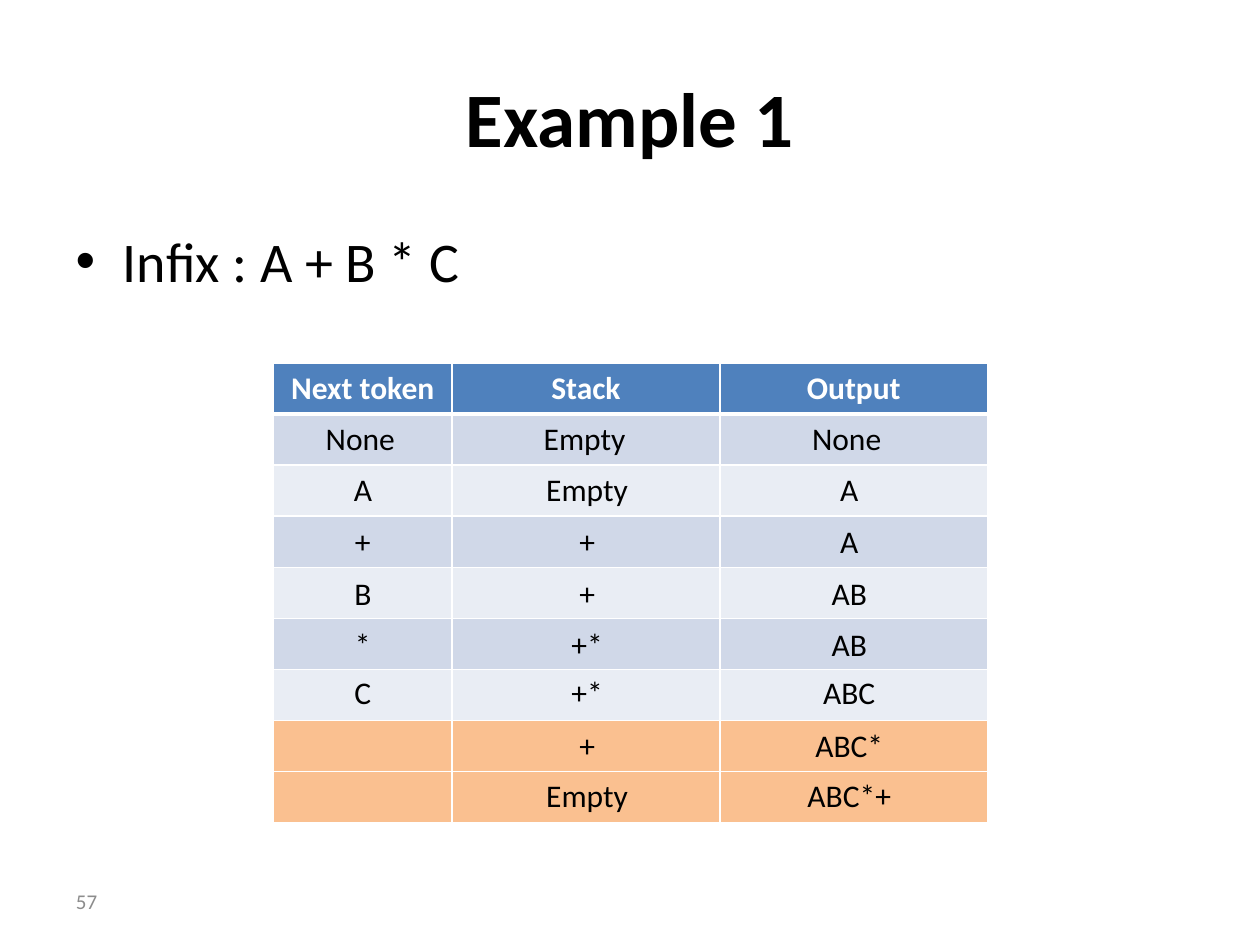
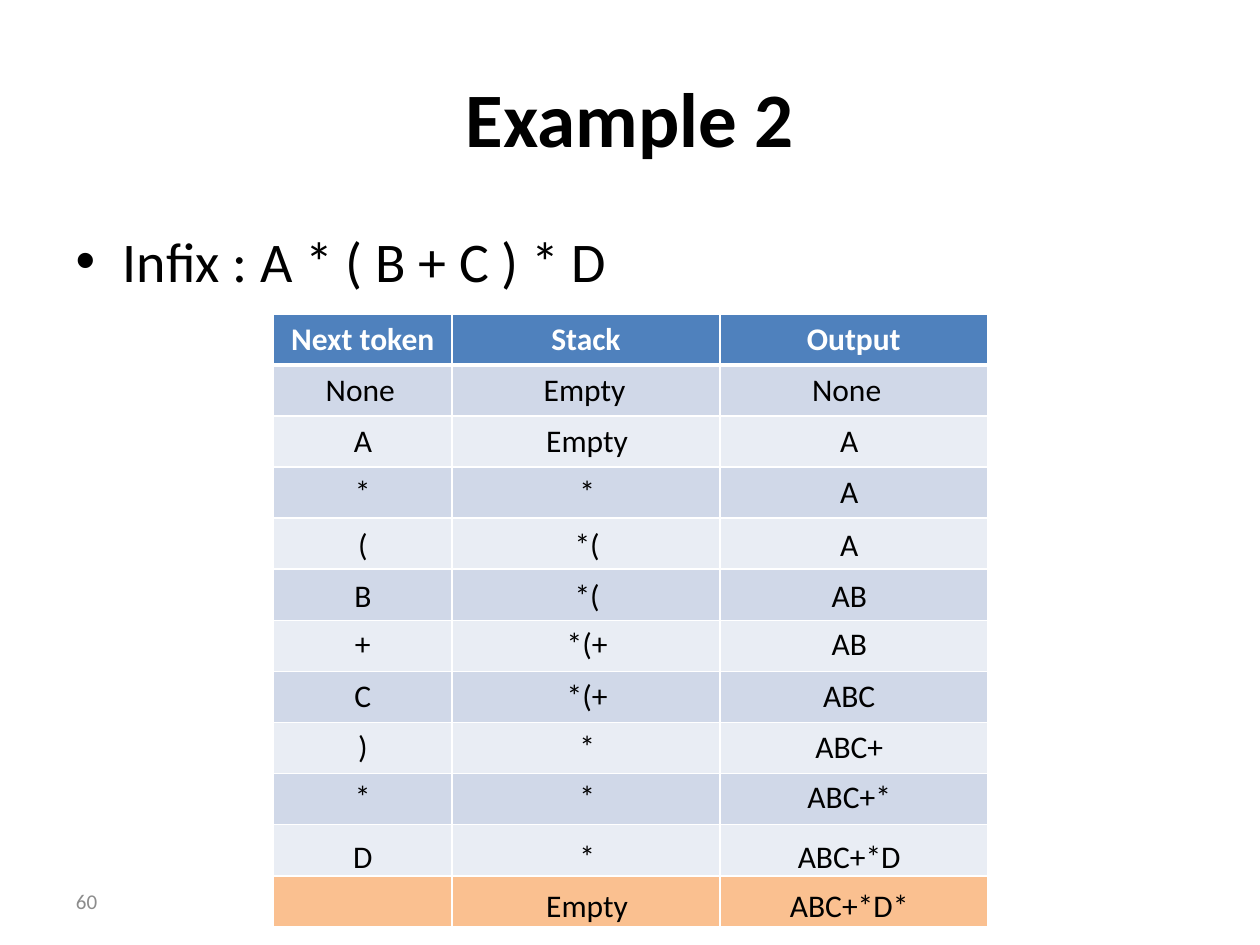
from pptx import Presentation
from pptx.dml.color import RGBColor
from pptx.enum.text import MSO_ANCHOR as Anchor, MSO_AUTO_SIZE as AutoSize, PP_ALIGN as Align
from pptx.oxml import parse_xml
from pptx.oxml.ns import nsdecls
from pptx.util import Inches, Pt

# Content: one row per conversion step; the closing "pops" rows are highlighted
HEADINGS = ("Next token", "Stack", "Output")
EXAMPLES = [
    dict(title="Example 1", infix="Infix : A + B * C", page="57", table_top=2.88, pops=2,
         steps=[("None", "Empty", "None"),
                ("A", "Empty", "A"),
                ("+", "+", "A"),
                ("B", "+", "AB"),
                ("*", "+*", "AB"),
                ("C", "+*", "ABC"),
                ("", "+", "ABC*"),
                ("", "Empty", "ABC*+")]),
    dict(title="Example 2", infix="Infix : A * ( B + C ) * D", page="60", table_top=2.49, pops=1,
         steps=[("None", "Empty", "None"),
                ("A", "Empty", "A"),
                ("*", "*", "A"),
                ("(", "*(", "A"),
                ("B", "*(", "AB"),
                ("+", "*(+", "AB"),
                ("C", "*(+", "ABC"),
                (")", "*", "ABC+"),
                ("*", "*", "ABC+*"),
                ("D", "*", "ABC+*D"),
                ("", "Empty", "ABC+*D*")]),
]

# Shared style
FONT = "Calibri"
COLORS = dict(text="000000", white="FFFFFF", header="4F81BD", odd="D0D8E8",
              even="E9EDF4", pop="FAC090", page="8C8C8C")
SLIDE_W, SLIDE_H = 10, 7.5
TABLE_W, TABLE_LEFT = 5.67, 2.17
COLUMN_SHARES = (1 / 4, 3 / 8, 3 / 8)
ROW_H = 3.65 / 9

# Step labels float over the table: column centres, and row tops below the table's top
LABEL_CENTERS = (2.88, 4.66, 6.74)
LABEL_TOPS = (0.4, 0.8, 1.21, 1.63, 2.03, 2.41, 2.83, 3.23, 3.63, 4.1, 4.49)
LABEL_H, LABEL_PADDING = 0.4, 0.2
WORD_WIDTHS = {"None": 0.56, "Empty": 0.66}
GLYPH_WIDTHS = {"A": 0.15, "B": 0.14, "C": 0.13, "D": 0.16,
                "+": 0.13, "*": 0.13, "(": 0.08, ")": 0.08}


def write(frame, text, size, color="text", bold=False, align=None):
    frame.text = text
    paragraph = frame.paragraphs[0]
    paragraph.alignment = align
    font = paragraph.runs[0].font
    font.name, font.size, font.bold = FONT, Pt(size), bold
    font.color.rgb = RGBColor.from_string(COLORS[color])


def style_cell(cell, fill, bottom_width):
    properties = cell._tc.get_or_add_tcPr()
    for side, width in (("L", 1), ("R", 1), ("T", 1), ("B", bottom_width)):
        properties.append(parse_xml(
            f'<a:ln{side} {nsdecls("a")} w="{Pt(width)}"><a:solidFill>'
            f'<a:srgbClr val="{COLORS["white"]}"/></a:solidFill></a:ln{side}>'))
    cell.fill.solid()
    cell.fill.fore_color.rgb = RGBColor.from_string(COLORS[fill])


def row_fill(row, step_count, pops):
    if row == 0:
        return "header"
    if row > step_count - pops:
        return "pop"
    return "odd" if row % 2 else "even"


def add_step_table(slide, top, step_count, pops):
    rows = step_count + 1
    table = slide.shapes.add_table(rows, len(HEADINGS), Inches(TABLE_LEFT), Inches(top),
                                   Inches(TABLE_W), Inches(rows * ROW_H)).table
    for column, share in zip(table.columns, COLUMN_SHARES):
        column.width = Inches(TABLE_W * share)
    for r, row in enumerate(table.rows):
        row.height = Inches(ROW_H)
        for cell in row.cells:
            style_cell(cell, row_fill(r, step_count, pops), 1 if r else 3)
    for cell, heading in zip(table.rows[0].cells, HEADINGS):
        cell.vertical_anchor = Anchor.MIDDLE
        write(cell.text_frame, heading, 18, "white", True, Align.CENTER)


def add_step_labels(slide, step, top):
    group = slide.shapes.add_group_shape()
    for text, center in zip(step, LABEL_CENTERS):
        if not text:
            continue
        width = LABEL_PADDING + (WORD_WIDTHS.get(text) or sum(GLYPH_WIDTHS[g] for g in text))
        # The starting state sits slightly left of the later steps
        if step[0] == "None":
            center -= 0.02
        label = group.shapes.add_textbox(Inches(center - width / 2), Inches(top),
                                         Inches(width), Inches(LABEL_H))
        label.text_frame.word_wrap = False
        label.text_frame.auto_size = AutoSize.SHAPE_TO_FIT_TEXT
        write(label.text_frame, text, 18, align=Align.CENTER)


def add_page_number(slide, page):
    number = slide.shapes.add_textbox(Inches(-1.46), Inches(6.95), Inches(2.33), Inches(0.4))
    number.text_frame.word_wrap = True
    number.text_frame.vertical_anchor = Anchor.MIDDLE
    write(number.text_frame, page, 12, "page", align=Align.RIGHT)


def place(shape, left, top, width, height):
    shape.left, shape.top = Inches(left), Inches(top)
    shape.width, shape.height = Inches(width), Inches(height)


deck = Presentation()
deck.slide_width, deck.slide_height = Inches(SLIDE_W), Inches(SLIDE_H)

for example in EXAMPLES:
    slide = deck.slides.add_slide(deck.slide_layouts[1])
    title, infix = slide.placeholders
    place(title, 0.5, 0.3, 9, 1.25)
    write(title.text_frame, example["title"], 44, bold=True, align=Align.CENTER)
    place(infix, 0.5, 1.75, 9, 4.95)
    write(infix.text_frame, example["infix"], 32)

    steps, table_top = example["steps"], example["table_top"]
    add_step_table(slide, table_top, len(steps), example["pops"])
    for step, offset in zip(steps, LABEL_TOPS):
        add_step_labels(slide, step, table_top + offset)
    add_page_number(slide, example["page"])

deck.save("out.pptx")
